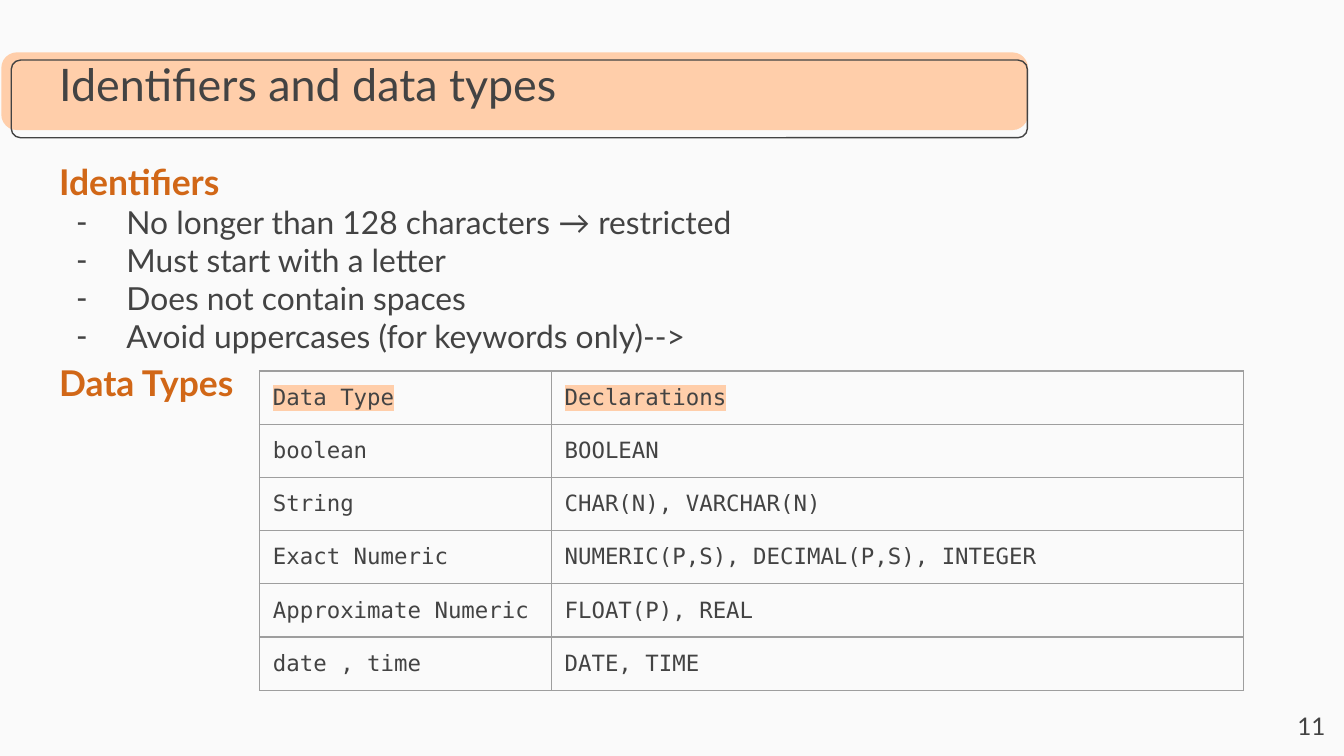
from dataclasses import dataclass
from typing import Optional

from lxml import etree
from pptx import Presentation
from pptx.dml.color import RGBColor
from pptx.enum.shapes import MSO_SHAPE
from pptx.enum.text import MSO_ANCHOR, MSO_AUTO_SIZE, PP_ALIGN
from pptx.oxml.ns import qn
from pptx.util import Pt

ROUNDED = MSO_SHAPE.ROUNDED_RECTANGLE
TOP = MSO_ANCHOR.TOP
FIXED = MSO_AUTO_SIZE.NONE
LEFT, RIGHT = PP_ALIGN.LEFT, PP_ALIGN.RIGHT

PAPER = RGBColor(0xFA, 0xFA, 0xFA)
PEACH = RGBColor(0xFF, 0xCE, 0xAA)
INK = RGBColor(0x43, 0x43, 0x43)
ORANGE = RGBColor(0xD1, 0x67, 0x17)
RULE = RGBColor(0x9E, 0x9E, 0x9E)

INSET = Pt(7.2)
HAIRLINE = Pt(0.75)
SIDES = ("a:lnL", "a:lnR", "a:lnT", "a:lnB")
FRAME_FORMAT = {
    "margin_left": INSET, "margin_right": INSET, "margin_top": INSET, "margin_bottom": INSET,
    "vertical_anchor": TOP, "word_wrap": True, "auto_size": FIXED,
}


@dataclass(frozen=True)
class Style:
    """Character format of a span."""
    size: float
    color: RGBColor = INK
    bold: bool = False
    name: str = "Lato"
    highlight: Optional[RGBColor] = None


@dataclass(frozen=True)
class Line:
    """One paragraph of text."""
    text: str
    style: Style
    bullet: Optional[str] = None
    spacing: float = 1.0
    alignment: PP_ALIGN = LEFT


@dataclass(frozen=True)
class Band:
    """Rounded bar behind the title."""
    left: float
    top: float
    width: float
    height: float
    corner: float
    fill: Optional[RGBColor] = None
    line: Optional[RGBColor] = None


TITLE = Style(24)
HEADING = Style(19, ORANGE, True, highlight=PAPER)
ITEM = Style(17)
NUMBER = Style(13)
CODE = Style(12, name="DejaVu Sans Mono")
CODE_HEAD = Style(12, name="DejaVu Sans Mono", highlight=PEACH)

BANDS = (
    Band(0.7, 28.1, 550, 41.6, 0.2, fill=PEACH),
    Band(6, 32.2, 544.4, 41.6, 0.12, line=INK),
)
RULES = (
    "No longer than 128 characters → restricted",
    "Must start with a letter",
    "Does not contain spaces",
    "Avoid uppercases (for keywords only)-->",
)
BODY = (
    Line("Identifiers", HEADING),
    *(Line(rule, ITEM, bullet="-") for rule in RULES),
    Line("Data Types", HEADING, spacing=1.15),
)
DATA_TYPES = (
    ("Data Type", "Declarations"),
    ("boolean", "BOOLEAN"),
    ("String", "CHAR(N), VARCHAR(N)"),
    ("Exact Numeric", "NUMERIC(P,S), DECIMAL(P,S), INTEGER"),
    ("Approximate Numeric", "FLOAT(P), REAL"),
    ("date , time", "DATE, TIME"),
)
COLUMN_WIDTHS = (156.3, 370.7)
ROW_HEIGHT = 28.45


def apply(target, values: dict) -> None:
    """Set each named attribute on the target."""
    for name, value in values.items():
        setattr(target, name, value)


def add_color(parent, tag: str, color: RGBColor):
    """Append a colour element to the parent."""
    holder = etree.SubElement(parent, qn(tag))
    etree.SubElement(holder, qn("a:srgbClr"), val=str(color))
    return holder


def write_line(para, line: Line) -> None:
    """Write one line into a paragraph."""
    apply(para, {"alignment": line.alignment, "line_spacing": line.spacing,
                 "space_before": Pt(0), "space_after": Pt(0)})
    properties = para._p.get_or_add_pPr()
    margin, indent = (Pt(36), Pt(-26.6)) if line.bullet else (Pt(0), Pt(0))
    properties.set("marL", str(margin))
    properties.set("indent", str(indent))
    if line.bullet:
        add_color(properties, "a:buClr", INK)
        etree.SubElement(properties, qn("a:buChar"), char=line.bullet)
    else:
        etree.SubElement(properties, qn("a:buNone"))
    span = para.add_run()
    span.text = line.text
    style = line.style
    apply(span.font, {"size": Pt(style.size), "bold": style.bold, "name": style.name})
    span.font.color.rgb = style.color
    if style.highlight is not None:
        character = span._r.get_or_add_rPr()
        mark = add_color(character, "a:highlight", style.highlight)
        character.find(qn("a:solidFill")).addnext(mark)


def write_box(box, place: tuple, lines: tuple) -> None:
    """Place a text box and fill it with lines."""
    apply(box, dict(zip(("left", "top", "width", "height"), map(Pt, place))))
    frame = box.text_frame
    apply(frame, FRAME_FORMAT)
    for index, line in enumerate(lines):
        write_line(frame.add_paragraph() if index else frame.paragraphs[0], line)


def draw_band(page, band: Band) -> None:
    """Draw a bar behind the title text."""
    box = page.shapes.add_shape(ROUNDED, Pt(band.left), Pt(band.top), Pt(band.width), Pt(band.height))
    box.adjustments[0] = band.corner
    box.shadow.inherit = False
    for paint, color in ((box.fill, band.fill), (box.line.fill, band.line)):
        if color is None:
            paint.background()
        else:
            paint.solid()
            paint.fore_color.rgb = color
    if band.line is not None:
        box.line.width = HAIRLINE
    page.shapes.title.element.addprevious(box.element)


def write_cell(cell, text: str, style: Style) -> None:
    """Write and rule one table cell."""
    cell.fill.background()
    apply(cell, {name: INSET for name in FRAME_FORMAT if name.startswith("margin")})
    cell.vertical_anchor = TOP
    write_line(cell.text_frame.paragraphs[0], Line(text, style))
    properties = cell._tc.get_or_add_tcPr()
    for index, side in enumerate(SIDES):
        border = etree.Element(qn(side), w=str(HAIRLINE))
        add_color(border, "a:solidFill", RULE)
        properties.insert(index, border)


def draw_table(page) -> None:
    """Draw the table of data types."""
    rows, columns = len(DATA_TYPES), len(COLUMN_WIDTHS)
    table = page.shapes.add_table(rows, columns, Pt(139), Pt(198.8),
                                  Pt(sum(COLUMN_WIDTHS)), Pt(ROW_HEIGHT * rows)).table
    apply(table, {"first_row": False, "horz_banding": False})
    for column, width in zip(table.columns, COLUMN_WIDTHS):
        column.width = Pt(width)
    for index, (row, texts) in enumerate(zip(table.rows, DATA_TYPES)):
        row.height = Pt(ROW_HEIGHT)
        for cell, text in zip(row.cells, texts):
            write_cell(cell, text, CODE if index else CODE_HEAD)


def main() -> None:
    """Build and save the deck."""
    deck = Presentation()
    apply(deck, {"slide_width": Pt(720), "slide_height": Pt(405)})
    page = deck.slides.add_slide(deck.slide_layouts[1])
    page.background.fill.solid()
    page.background.fill.fore_color.rgb = PAPER
    for band in BANDS:
        draw_band(page, band)
    write_box(page.shapes.title, (24.5, 23, 671, 63.4), (Line("Identifiers and data types", TITLE),))
    write_box(page.placeholders[1], (24.5, 78.5, 671, 306.7), BODY)
    draw_table(page)
    place = (674, 373.7, 43.2, 31)
    write_box(page.shapes.add_textbox(*map(Pt, place)), place, (Line("11", NUMBER, alignment=RIGHT),))
    deck.save("out.pptx")


main()
